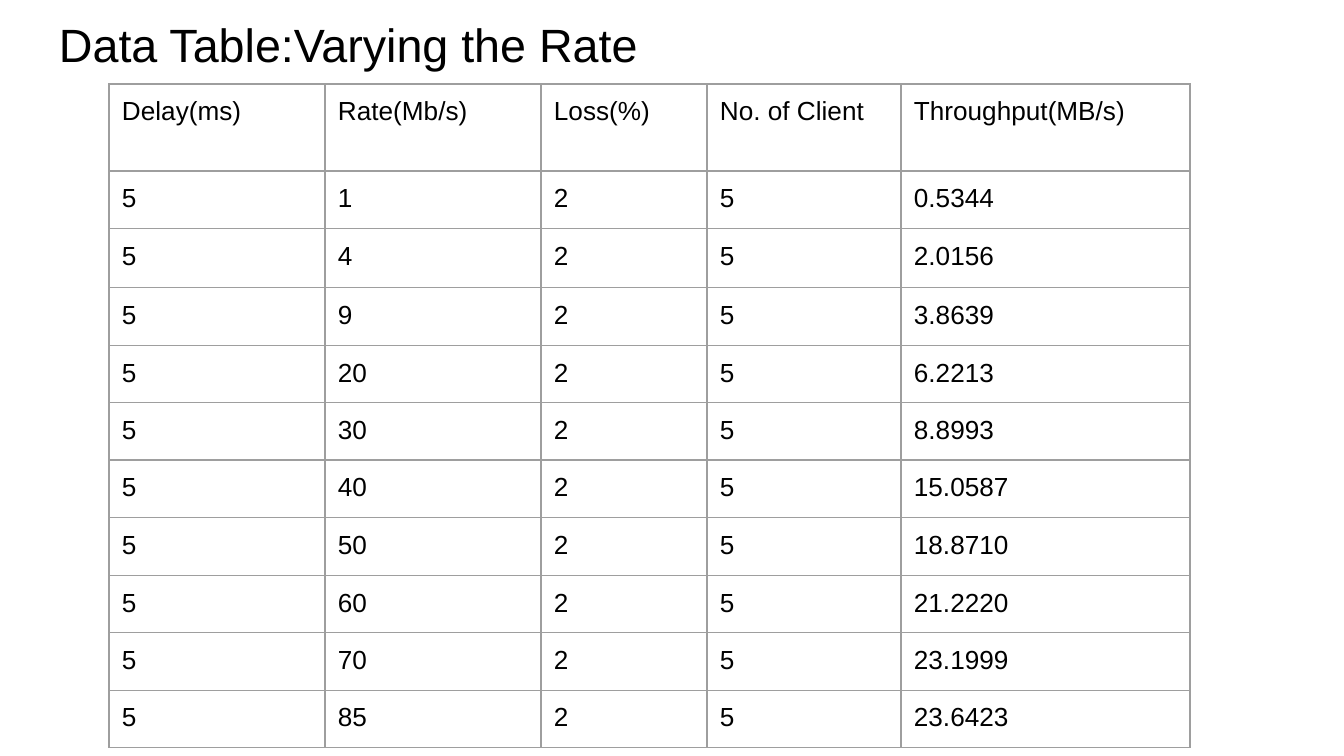
from lxml.etree import SubElement
from pptx import Presentation
from pptx.dml.color import RGBColor
from pptx.enum.text import MSO_ANCHOR as Anchor
from pptx.oxml.ns import qn
from pptx.util import Pt

TITLE = "Data Table:Varying the Rate"
HEADERS = ["Delay(ms)", "Rate(Mb/s)", "Loss(%)", "No. of Client", "Throughput(MB/s)"]
DELAY, LOSS, CLIENTS = "5", "2", "5"
THROUGHPUT_BY_RATE = [
    ("1", "0.5344"),
    ("4", "2.0156"),
    ("9", "3.8639"),
    ("20", "6.2213"),
    ("30", "8.8993"),
    ("40", "15.0587"),
    ("50", "18.8710"),
    ("60", "21.2220"),
    ("70", "23.1999"),
    ("85", "23.6423"),
]
COL_WIDTHS = [216, 216, 166, 194, 289]
ROW_HEIGHTS = [87, 57, 59, 58, 57, 57, 57, 58, 57, 57, 57]
INSET = 13

FONT = "Arial"
BLACK = RGBColor(0x00, 0x00, 0x00)
GREY = RGBColor(0x9E, 0x9E, 0x9E)


def px(n):
    """Turn pixels (134.4 to the inch) into EMU."""
    return round(n * 914400 / 134.4)


def write(tf, text, size, color=BLACK, font=FONT):
    r = tf.paragraphs[0].add_run()
    r.text = text
    r.font.size = Pt(size)
    r.font.name = font
    r.font.color.rgb = color


def set_margins(box):
    """Give a text frame or a table cell the same inset on all sides."""
    box.margin_left = box.margin_right = px(INSET)
    box.margin_top = box.margin_bottom = px(INSET)


def add_borders(cell, color=GREY, width=0.75):
    props = cell._tc.get_or_add_tcPr()
    for i, side in enumerate(("a:lnL", "a:lnR", "a:lnT", "a:lnB")):
        ln = props.makeelement(qn(side), {"w": str(Pt(width))})
        fill = SubElement(ln, qn("a:solidFill"))
        SubElement(fill, qn("a:srgbClr"), val=str(color))
        props.insert(i, ln)


def add_title(slide):
    sp = slide.shapes.add_textbox(px(46), 0, px(1252), px(85))
    tf = sp.text_frame
    tf.word_wrap = True
    tf.vertical_anchor = Anchor.BOTTOM
    set_margins(tf)
    write(tf, TITLE, 25)


def add_data_table(slide):
    rows = [HEADERS] + [
        [DELAY, rate, LOSS, CLIENTS, throughput]
        for rate, throughput in THROUGHPUT_BY_RATE
    ]
    table = slide.shapes.add_table(
        len(rows), len(HEADERS), px(109), px(84),
        px(sum(COL_WIDTHS)), px(sum(ROW_HEIGHTS)),
    ).table
    table.first_row = table.horz_banding = False
    for col, width in zip(table.columns, COL_WIDTHS):
        col.width = px(width)
    for row, height, values in zip(table.rows, ROW_HEIGHTS, rows):
        row.height = px(height)
        for cell, value in zip(row.cells, values):
            cell.fill.background()
            set_margins(cell)
            add_borders(cell)
            write(cell.text_frame, value, 14)


def main():
    prs = Presentation()
    prs.slide_width, prs.slide_height = px(1344), px(756)
    slide = prs.slides.add_slide(prs.slide_layouts[6])
    add_title(slide)
    add_data_table(slide)
    prs.save("out.pptx")


if __name__ == "__main__":
    main()
